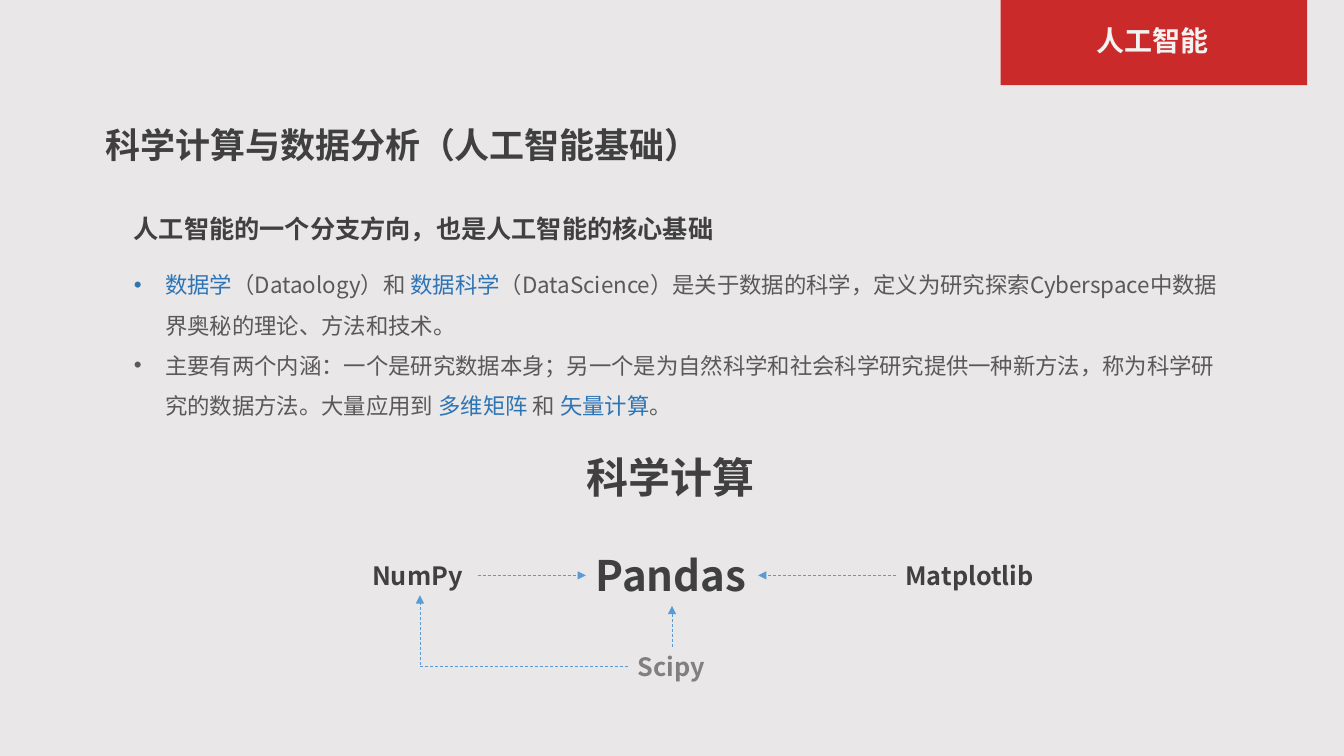
from lxml import etree
from pptx import Presentation
from pptx.dml.color import RGBColor
from pptx.enum.dml import MSO_LINE
from pptx.enum.shapes import MSO_CONNECTOR, MSO_SHAPE
from pptx.enum.text import MSO_ANCHOR, PP_ALIGN
from pptx.oxml.ns import qn
from pptx.util import Pt

PX = 9525
FACE = "Noto Sans CJK SC"
DARK, GREY, BODY = "404040", "808080", "595959"
RED, PALE, BACK = "CA2A2A", "F2F2F2", "E9E7E7"
BLUE, LINK = "5B9BD5", "2E75B6"
DASH = MSO_LINE.DASH
LINE, BENT = MSO_CONNECTOR.STRAIGHT, MSO_CONNECTOR.ELBOW
RECT = MSO_SHAPE.RECTANGLE
MIDDLE = MSO_ANCHOR.MIDDLE
CENTER = PP_ALIGN.CENTER
TOP, LEFT, BOTTOM, RIGHT = range(4)

POINTS = [
    [("数据学", LINK), ("（Dataology）和 ", BODY), ("数据科学", LINK),
     ("（DataScience）是关于数据的科学，定义为研究探索Cyberspace中"
      "数据界奥秘的理论、方法和技术。", BODY)],
    [("主要有两个内涵：一个是研究数据本身；另一个是为自然科学和社会科学"
      "研究提供一种新方法，称为科学研究的数据方法。大量应用到 ", BODY),
     ("多维矩阵 ", LINK), ("和 ", BODY), ("矢量计算", LINK), ("。", BODY)],
]


def paint(color, code):
    """Set a colour format from a hex string."""
    color.rgb = RGBColor.from_string(code)


def style(para, size, code, bold=False):
    """Set the font of a whole paragraph."""
    font = para.font
    font.size, font.bold, font.name = Pt(size), bold, FACE
    paint(font.color, code)
    props = para._p.pPr.find(qn("a:defRPr"))
    etree.SubElement(props, qn("a:ea"), typeface=FACE)


def add_box(slide, box, wrap=False):
    """Add an empty text box at left, top, width, height."""
    shape = slide.shapes.add_textbox(*(n * PX for n in box))
    shape.text_frame.word_wrap = wrap
    return shape


def add_label(slide, text, box, size, code=DARK):
    """Add one line of bold text."""
    shape = add_box(slide, box)
    para = shape.text_frame.paragraphs[0]
    para.text = text
    style(para, size, code, True)
    return shape


def add_banner(slide):
    """Add the red block and its heading."""
    block = slide.shapes.add_shape(RECT, 953 * PX, 0, 292 * PX, 81 * PX)
    block.shadow.inherit = False
    block.fill.solid()
    paint(block.fill.fore_color, RED)
    block.line.fill.background()
    frame = add_label(slide, "人工智能", (954, 20, 288, 40), 20, PALE).text_frame
    frame.word_wrap = True
    frame.vertical_anchor = MIDDLE
    para = frame.paragraphs[0]
    para.alignment, para.line_spacing = CENTER, 0.9


def add_list(slide, items, box):
    """Add bulleted paragraphs with coloured runs."""
    frame = add_box(slide, box, True).text_frame
    for i, item in enumerate(items):
        para = frame.add_paragraph() if i else frame.paragraphs[0]
        para.line_spacing = 1.5
        props = para._p.get_or_add_pPr()
        props.set("marL", str(30 * PX))
        props.set("indent", str(-30 * PX))
        etree.SubElement(props, qn("a:buFont"), typeface="Arial")
        etree.SubElement(props, qn("a:buChar"), char="•")
        style(para, 16, BODY)
        for text, code in item:
            run = para.add_run()
            run.text = text
            paint(run.font.color, code)


def add_arrow(slide, start, side, end, goal, kind=LINE):
    """Join two labels with a dashed arrow."""
    link = slide.shapes.add_connector(kind, 0, 0, 0, 0)
    link.begin_connect(start, side)
    link.end_connect(end, goal)
    link.line.width = Pt(0.5)
    paint(link.line.color, BLUE)
    link.line.dash_style = DASH
    props = link._element.spPr
    etree.SubElement(props.find(qn("a:ln")), qn("a:tailEnd"), type="triangle")
    etree.SubElement(props, qn("a:effectLst"))
    if kind == BENT:
        props.find(qn("a:prstGeom")).set("prst", "bentConnector2")


def main():
    """Build and save the slide."""
    deck = Presentation()
    deck.slide_width, deck.slide_height = 1280 * PX, 720 * PX
    slide = deck.slides.add_slide(deck.slide_layouts[6])
    fill = slide.background.fill
    fill.solid()
    paint(fill.fore_color, BACK)

    add_banner(slide)
    add_label(slide, "科学计算与数据分析（人工智能基础）", (91, 113, 591, 50), 25)
    add_label(slide, "人工智能的一个分支方向，也是人工智能的核心基础",
              (118, 198, 577, 38), 18)
    add_list(slide, POINTS, (118, 241, 1069, 165))
    add_label(slide, "科学计算", (549, 425, 180, 58), 30)

    numpy = add_label(slide, "NumPy", (345, 529, 110, 38), 18)
    pandas = add_label(slide, "Pandas", (558, 519, 164, 58), 30)
    plot = add_label(slide, "Matplotlib", (853, 529, 149, 38), 18)
    scipy = add_label(slide, "Scipy", (598, 616, 84, 38), 18, GREY)
    add_arrow(slide, numpy, RIGHT, pandas, LEFT)
    add_arrow(slide, plot, LEFT, pandas, RIGHT)
    add_arrow(slide, scipy, TOP, pandas, BOTTOM)
    add_arrow(slide, scipy, LEFT, numpy, BOTTOM, BENT)
    deck.save("out.pptx")


if __name__ == "__main__":
    main()
